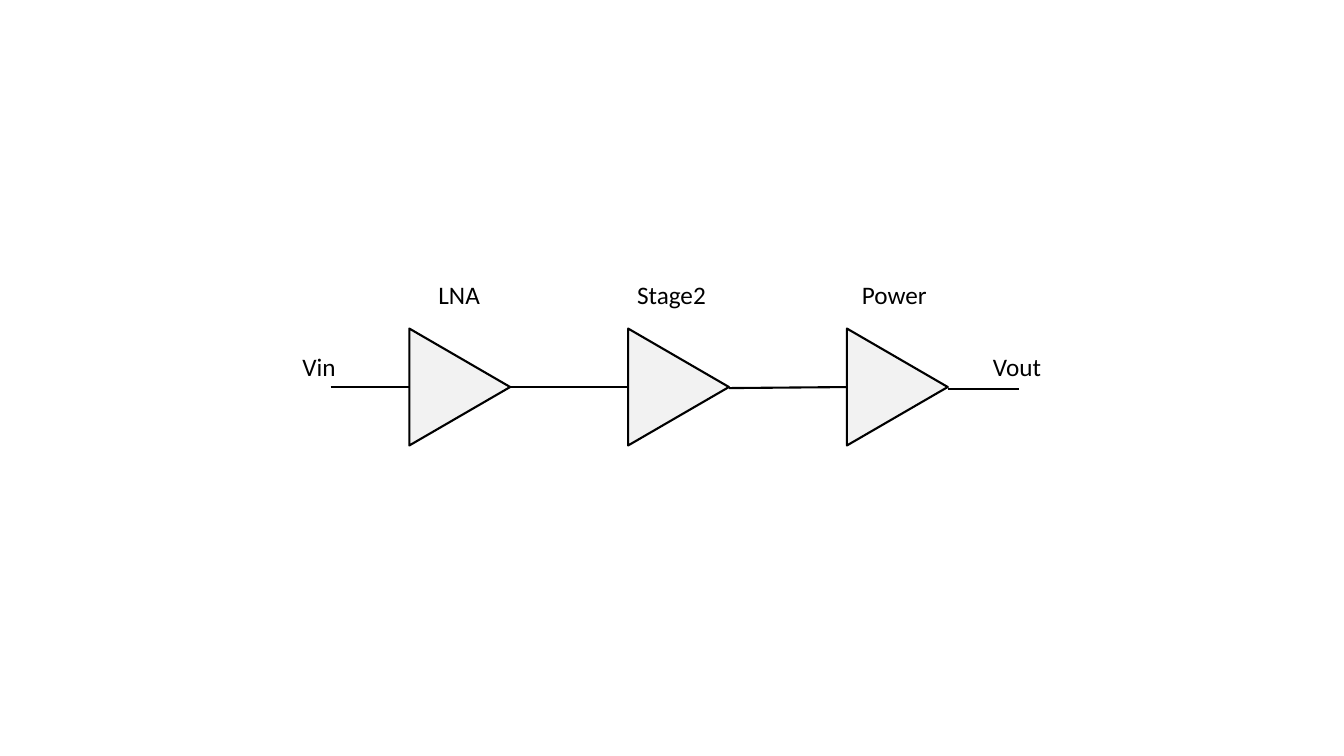
"""Draw a three-stage amplifier chain from Vin to Vout."""
from typing import NamedTuple

from lxml import etree
from pptx import Presentation
from pptx.dml.color import RGBColor
from pptx.enum import shapes, text
from pptx.oxml import ns
from pptx.util import Inches, Pt

INK, AMP_FILL = "000000", "F2F2F2"
AMP_LEFT, AMP_TOP, AMP_PITCH = 3.98, 3.34, 2.17
AMP_W, AMP_H = 1.16, 1
STAGE_TOP, PORT_TOP = 2.72, 3.44


class Wire(NamedTuple):
    x1: float
    y1: float
    x2: float
    y2: float


class Label(NamedTuple):
    caption: str
    left: float
    top: float
    width: float


WIRES = [
    Wire(3.28, 3.84, 4.06, 3.84),
    Wire(5.06, 3.84, 6.23, 3.84),
    Wire(7.23, 3.85, 8.4, 3.84),
    Wire(9.4, 3.86, 10.11, 3.86),
]
LABELS = [
    Label("Vin", 2.9, PORT_TOP, 0.54),
    Label("Vout", 9.75, PORT_TOP, 0.69),
    Label("LNA", 4.25, STAGE_TOP, 0.62),
    Label("Stage2", 6.22, STAGE_TOP, 0.89),
    Label("Power", 8.45, STAGE_TOP, 0.85),
]


def color(value: str) -> RGBColor:
    return RGBColor.from_string(value)


def style_line(sp) -> None:
    sp.line.color.rgb = color(INK)
    sp.line.width = Pt(1.5)


def add_amp(s, index: int) -> None:
    sp = s.shapes.add_shape(
        shapes.MSO_SHAPE.ISOSCELES_TRIANGLE,
        Inches(AMP_LEFT + index * AMP_PITCH), Inches(AMP_TOP),
        Inches(AMP_W), Inches(AMP_H))
    sp.rotation = 90
    sp.shadow.inherit = False
    sp.fill.solid()
    sp.fill.fore_color.rgb = color(AMP_FILL)
    style_line(sp)


def add_wire(s, wire: Wire) -> None:
    sp = s.shapes.add_connector(
        shapes.MSO_CONNECTOR.STRAIGHT, *(Inches(v) for v in wire))
    style_line(sp)
    etree.SubElement(sp._element.spPr, ns.qn("a:effectLst"))


def add_label(s, label: Label) -> None:
    sp = s.shapes.add_textbox(
        Inches(label.left), Inches(label.top), Inches(label.width), Inches(0.4))
    tf = sp.text_frame
    tf.word_wrap = False
    tf.auto_size = text.MSO_AUTO_SIZE.SHAPE_TO_FIT_TEXT
    p = tf.paragraphs[0]
    p.text = label.caption
    p.font.name = "Calibri"
    p.font.size = Pt(18)
    p.font.color.rgb = color(INK)


def main() -> None:
    prs = Presentation()
    prs.slide_width, prs.slide_height = Inches(13.33), Inches(7.5)
    s = prs.slides.add_slide(prs.slide_layouts[6])
    for index in range(3):
        add_amp(s, index)
    for wire in WIRES:
        add_wire(s, wire)
    for label in LABELS:
        add_label(s, label)
    prs.save("out.pptx")


if __name__ == "__main__":
    main()
